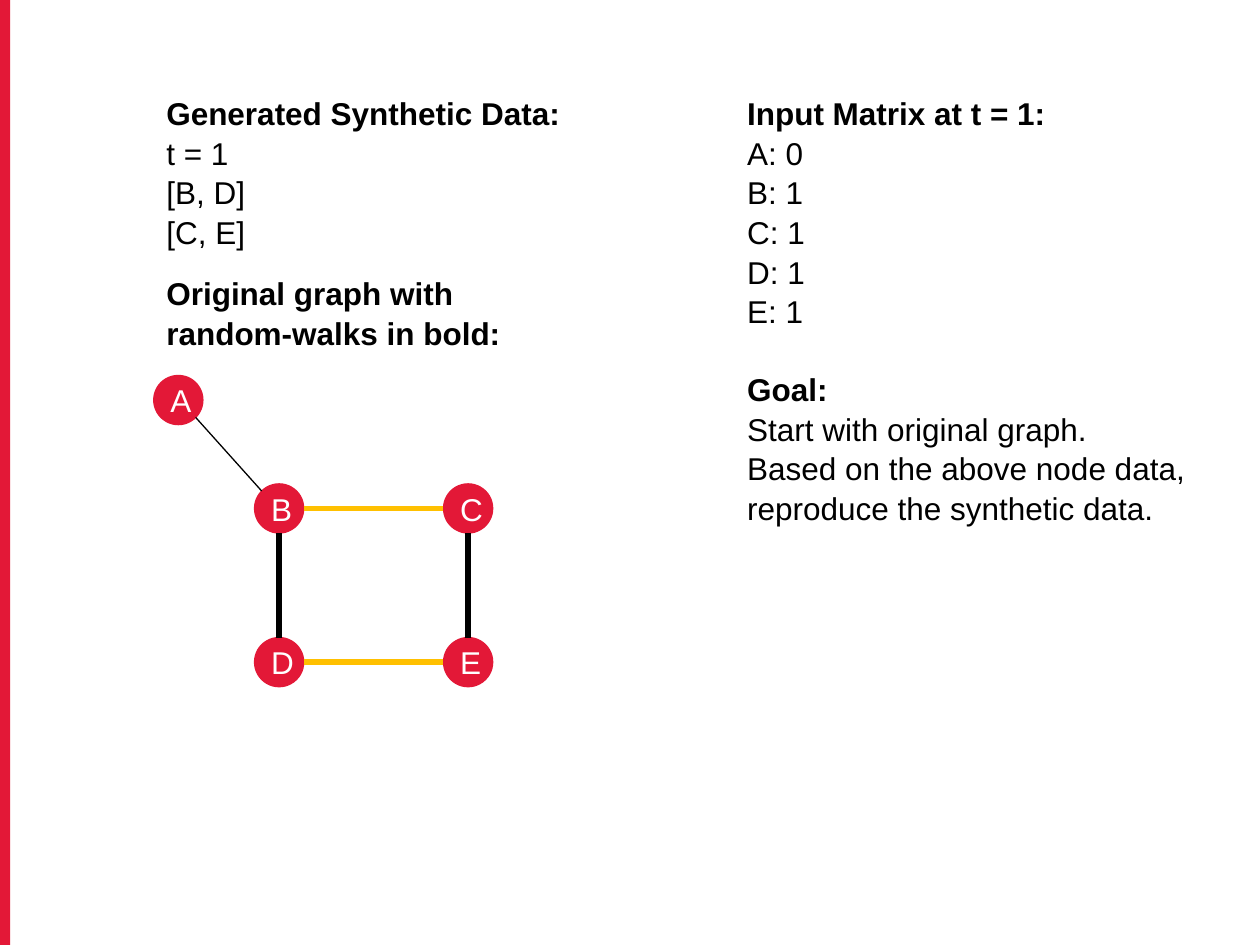
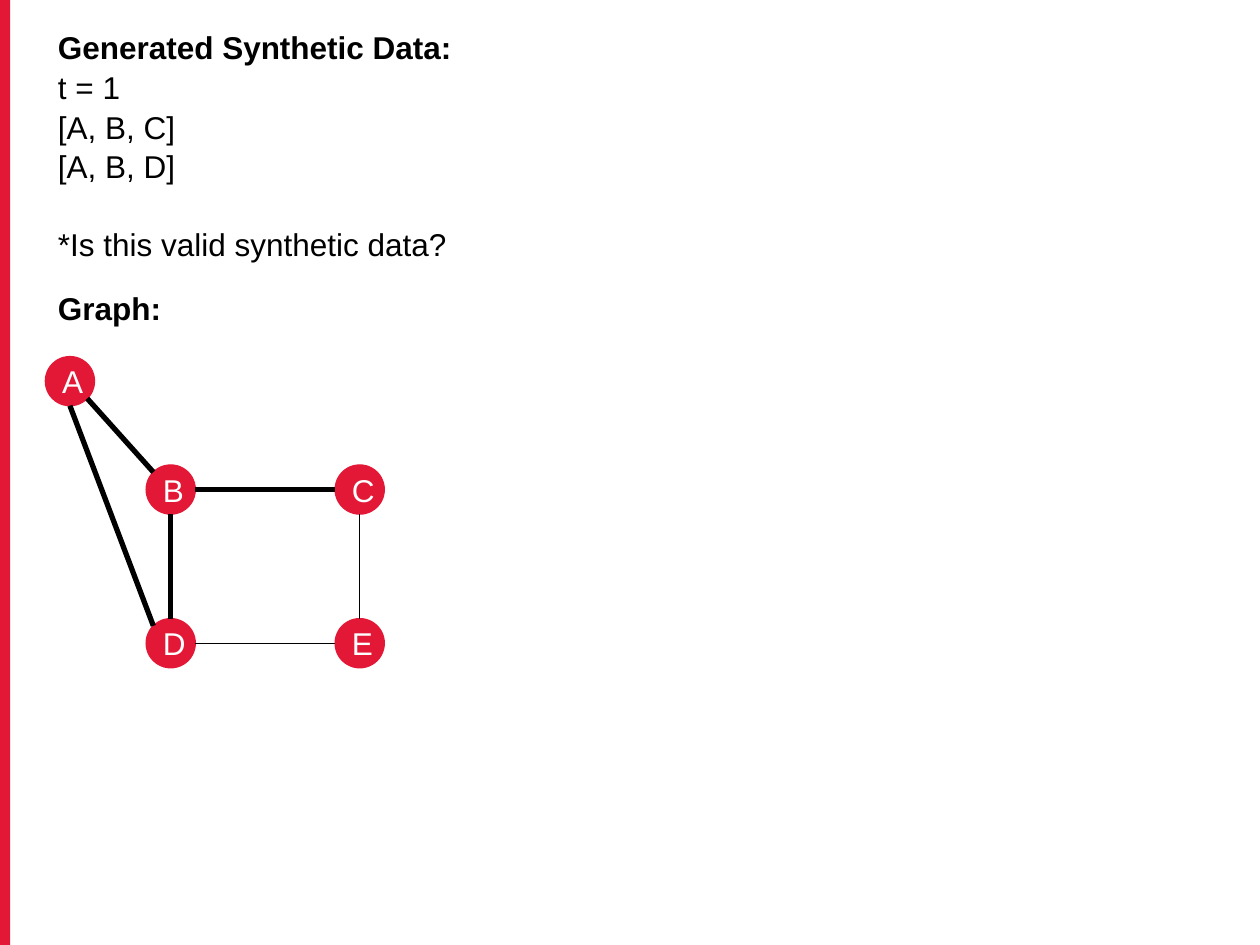
from dataclasses import dataclass
from math import hypot

from lxml.etree import SubElement
from pptx import Presentation
from pptx.dml.color import RGBColor as RGB
from pptx.enum.shapes import MSO_CONNECTOR as CONN, MSO_SHAPE as SHAPE
from pptx.enum.text import MSO_ANCHOR as ANCHOR, MSO_AUTO_SIZE as FIT, PP_ALIGN as ALIGN
from pptx.oxml.ns import qn
from pptx.util import Inches, Pt

COLS, ROWS, CELL = 100, 75, 0.1
DIAMETER = 3.9
NODES = {"A": (0, 0), "B": (8, 8.6), "C": (23, 8.6), "D": (8, 20.8), "E": (23, 20.8)}
SIDES = {"n": (0, -1), "s": (0, 1), "w": (-1, 0), "e": (1, 0), "nw": (-1, -1), "se": (1, 1)}


@dataclass(frozen=True)
class Theme:
    font: str = "Arial"
    size: float = 18
    spacing: float = 1.05
    gap: float = 21.7
    thin: float = 0.75
    bold: float = 3
    red: RGB = RGB(0xE3, 0x18, 0x37)
    amber: RGB = RGB(0xFF, 0xC0, 0x00)
    black: RGB = RGB(0, 0, 0)
    white: RGB = RGB(0xFF, 0xFF, 0xFF)


def grid(*cells):
    return [Inches(c * CELL) for c in cells]


def write(p, text, theme, color, bold=False, align=ALIGN.LEFT, spacing=None, before=0):
    pPr = p._p.get_or_add_pPr()
    pPr.set("marL", "0")
    pPr.set("indent", "0")
    SubElement(pPr, qn("a:buNone"))
    p.alignment = align
    p.line_spacing = spacing
    p.space_before = Pt(before)
    r = p.add_run()
    r.text = text
    f = r.font
    f.name, f.size, f.bold = theme.font, Pt(theme.size), bold
    f.color.rgb = color


class Deck:
    def __init__(self, theme):
        self.theme = theme
        self.prs = Presentation()
        self.prs.slide_width, self.prs.slide_height = grid(COLS, ROWS)
        self.slide = None

    def add_slide(self, layout):
        self.slide = self.prs.slides.add_slide(self.prs.slide_layouts.get_by_name(layout))

    def shape(self, kind, x, y, w, h):
        sp = self.slide.shapes.add_shape(kind, *grid(x, y, w, h))
        sp.shadow.inherit = False
        sp.fill.solid()
        sp.fill.fore_color.rgb = self.theme.red
        sp.line.color.rgb = self.theme.red
        sp.line.width = Pt(self.theme.thin)
        return sp

    def master_band(self):
        sp = self.shape(SHAPE.RECTANGLE, 0, 0, 0.8, ROWS)
        sp.line.fill.background()
        self.prs.slide_master.shapes._spTree.insert(2, sp._element)

    def text(self, idx, x, y, w, h, paragraphs):
        sp = self.slide.placeholders[idx]
        sp.left, sp.top, sp.width, sp.height = grid(x, y, w, h)
        tf = sp.text_frame
        tf.word_wrap = True
        tf.auto_size = FIT.SHAPE_TO_FIT_TEXT
        tf.vertical_anchor = ANCHOR.TOP
        for i, (text, fmt) in enumerate(paragraphs):
            p = tf.add_paragraph() if i else tf.paragraphs[0]
            write(p, text, self.theme, self.theme.black, spacing=self.theme.spacing, **fmt)

    def node(self, name, x, y):
        sp = self.shape(SHAPE.OVAL, x, y, DIAMETER, DIAMETER)
        tf = sp.text_frame
        tf.margin_left = tf.margin_right = tf.margin_top = tf.margin_bottom = Inches(0.2)
        tf.vertical_anchor = ANCHOR.MIDDLE
        write(tf.paragraphs[0], name, self.theme, self.theme.white, align=ALIGN.CENTER)

    def edge(self, start, end, color, width):
        c = self.slide.shapes.add_connector(CONN.STRAIGHT, *grid(*start, *end))
        c.line.color.rgb = color
        c.line.width = Pt(width)
        SubElement(c._element.spPr, qn("a:effectLst"))

    def graph(self, left, top, edges):
        def rim(name, side):
            (x, y), (dx, dy) = NODES[name], SIDES[side]
            r = DIAMETER / 2
            k = r / hypot(dx, dy)
            return left + x + r + dx * k, top + y + r + dy * k

        for name, (x, y) in NODES.items():
            self.node(name, left + x, top + y)
        for a, side_a, b, side_b, color, width in edges:
            self.edge(rim(a, side_a), rim(b, side_b), color, width)


def main():
    theme = Theme()
    deck = Deck(theme)
    head, plain = {"bold": True}, {}
    after_gap = {"before": theme.gap}
    thin, bold = (theme.black, theme.thin), (theme.black, theme.bold)
    amber = (theme.amber, theme.bold)

    deck.add_slide("Two Content")
    deck.master_band()
    deck.text(0, 12.2, 21.1, 33.6, 7.1, [("Original graph with random-walks in bold:", head)])
    deck.text(1, 12.2, 6.8, 37.8, 13.1, [
        ("Generated Synthetic Data:", head),
        ("t = 1", plain),
        ("[B, D]", plain),
        ("[C, E]", plain),
    ])
    deck.text(2, 58.3, 6.8, 37.3, 34.3, [
        ("Input Matrix at t = 1:", head),
        ("A: 0", plain),
        *[(f"{name}: 1", plain) for name in "BCDE"],
        ("Goal:", head | after_gap),
        ("Start with original graph.", plain),
        ("Based on the above node data, reproduce the synthetic data.", plain),
    ])
    deck.graph(12.2, 29.8, [
        ("B", "e", "C", "w", *amber),
        ("D", "n", "B", "s", *bold),
        ("C", "s", "E", "n", *bold),
        ("D", "e", "E", "w", *amber),
        ("A", "se", "B", "nw", *thin),
    ])

    deck.add_slide("Title and Content")
    deck.text(0, 3.6, 22.3, 33.6, 4, [("Graph:", head)])
    deck.text(1, 3.6, 1.6, 37.8, 22.2, [
        ("Generated Synthetic Data:", head),
        ("t = 1", plain),
        ("[A, B, C]", plain),
        ("[A, B, D]", plain),
        ("*Is this valid synthetic data?", after_gap),
    ])
    deck.graph(3.6, 28.3, [
        ("B", "e", "C", "w", *bold),
        ("D", "n", "B", "s", *bold),
        ("C", "s", "E", "n", *thin),
        ("D", "e", "E", "w", *thin),
        ("A", "se", "B", "nw", *bold),
        ("D", "nw", "A", "s", *bold),
    ])

    deck.prs.save("out.pptx")


if __name__ == "__main__":
    main()
